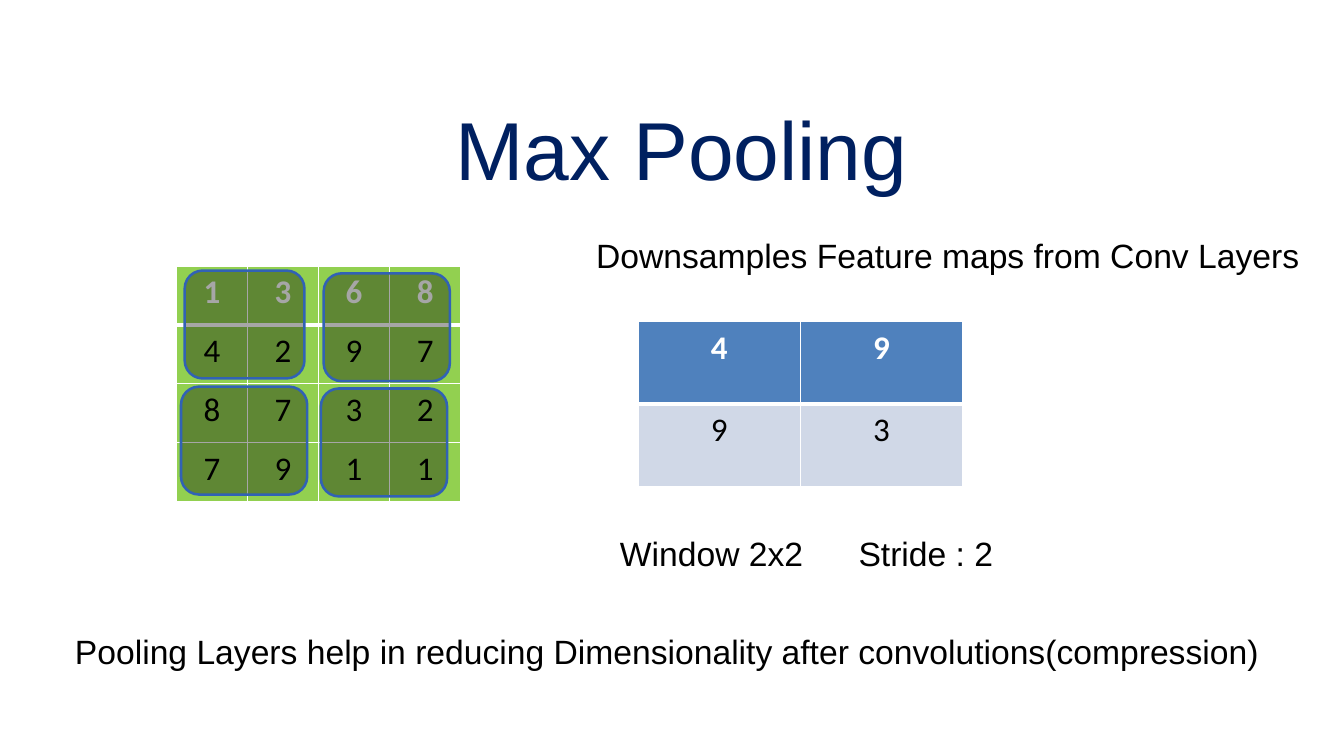
"""Build the Max Pooling slide."""
from dataclasses import dataclass

from lxml.etree import SubElement
from pptx import Presentation
from pptx.dml.color import RGBColor as RGB
from pptx.enum.shapes import MSO_SHAPE as SHAPE
from pptx.enum.text import MSO_ANCHOR as ANCHOR, MSO_AUTO_SIZE as AUTO, PP_ALIGN as ALIGN
from pptx.oxml.ns import qn
from pptx.util import Inches, Pt


@dataclass(frozen=True)
class Theme:
    title: str = "002060"
    text: str = "000000"
    white: str = "FFFFFF"
    green: str = "92D050"
    blue: str = "4F81BD"
    pale: str = "D0D8E7"
    outline: str = "3162B5"
    font: str = "Arial"
    cell_font: str = "Calibri"
    title_size: float = 64.7
    text_size: float = 26.5
    cell_size: float = 26
    thin: float = 0.96
    thick: float = 3
    window_alpha: int = 35


T = Theme()
TITLE = ("Max Pooling", (0.84, 0.92, 13.23, 1.38))
TABLES = [
    ([[1, 3, 6, 8], [4, 2, 9, 7], [8, 7, 3, 2], [7, 9, 1, 1]],
     (1.93, 2.91, 3.11, 2.58), T.green, T.green),
    ([[4, 9], [9, 3]], (6.98, 3.52, 3.55, 1.8), T.blue, T.pale),
]
WINDOWS = [(2.02, 2.96, 1.31, 1.18), (3.54, 2.99, 1.38, 1.18),
           (1.98, 4.23, 1.38, 1.18), (3.51, 4.25, 1.38, 1.18)]
STRIDE_TAB = 2.61
LABELS = [
    ("Downsamples Feature maps from Conv Layers", (6.38, 2.5, 8.05, 0.59)),
    ("Window 2x2\tStride : 2", (6.64, 5.76, 4.42, 0.59)),
    ("Pooling Layers help in reducing Dimensionality after convolutions(compression)",
     (0.68, 6.83, 13.35, 0.59)),
]


def inches(box):
    return [Inches(v) for v in box]


def set_font(p, name, size, color, bold=False):
    f = p.font
    f.name, f.size, f.bold = name, Pt(size), bold
    f.color.rgb = RGB.from_string(color)


def set_margins(item, x, y):
    item.margin_left = item.margin_right = Inches(x)
    item.margin_top = item.margin_bottom = Inches(y)


def add_title(slide, text, box):
    sp = slide.shapes.title
    sp.left, sp.top, sp.width, sp.height = inches(box)
    tf = sp.text_frame
    tf.text = text
    tf.auto_size, tf.vertical_anchor = AUTO.NONE, ANCHOR.MIDDLE
    p = tf.paragraphs[0]
    p.alignment = ALIGN.CENTER
    set_font(p, T.font, T.title_size, T.title)


def set_borders(cell, row):
    tcPr = cell._tc.get_or_add_tcPr()
    widths = {"L": T.thin, "R": T.thin,
              "T": T.thick if row == 1 else T.thin,
              "B": T.thick if row == 0 else T.thin}
    for side, width in widths.items():
        ln = SubElement(tcPr, qn(f"a:ln{side}"), w=str(Pt(width)))
        fill = SubElement(ln, qn("a:solidFill"))
        SubElement(fill, qn("a:srgbClr"), val=T.white)


def add_grid(slide, values, box, head_fill, body_fill):
    rows, cols = len(values), len(values[0])
    table = slide.shapes.add_table(rows, cols, *inches(box)).table
    for r, row in enumerate(values):
        for c, value in enumerate(row):
            cell = table.cell(r, c)
            set_borders(cell, r)
            cell.fill.solid()
            cell.fill.fore_color.rgb = RGB.from_string(body_fill if r else head_fill)
            set_margins(cell, 0.15, 0.07)
            cell.text = str(value)
            p = cell.text_frame.paragraphs[0]
            p.alignment = ALIGN.CENTER
            set_font(p, T.cell_font, T.cell_size, T.text if r else T.white, r == 0)


def add_window(slide, box):
    sp = slide.shapes.add_shape(SHAPE.ROUNDED_RECTANGLE, *inches(box))
    sp.shadow.inherit = False
    sp.fill.solid()
    sp.fill.fore_color.rgb = RGB.from_string(T.text)
    clr = sp._element.spPr.find(qn("a:solidFill")).find(qn("a:srgbClr"))
    SubElement(clr, qn("a:alpha"), val=str(T.window_alpha * 1000))
    sp.line.color.rgb = RGB.from_string(T.outline)
    sp.line.width = Pt(2)


def add_label(slide, text, box):
    tf = slide.shapes.add_textbox(*inches(box)).text_frame
    tf.word_wrap = True
    set_margins(tf, 0.14, 0.07)
    tf.text = text
    p = tf.paragraphs[0]
    if "\t" in text:
        tabs = SubElement(p._p.get_or_add_pPr(), qn("a:tabLst"))
        SubElement(tabs, qn("a:tab"), pos=str(Inches(STRIDE_TAB)), algn="l")
    set_font(p, T.font, T.text_size, T.text)


def main():
    prs = Presentation()
    prs.slide_width, prs.slide_height = inches((14.7, 8.27))
    slide = prs.slides.add_slide(prs.slide_layouts[5])
    add_title(slide, *TITLE)
    for grid in TABLES:
        add_grid(slide, *grid)
    for box in WINDOWS:
        add_window(slide, box)
    for label in LABELS:
        add_label(slide, *label)
    prs.save("out.pptx")


if __name__ == "__main__":
    main()
